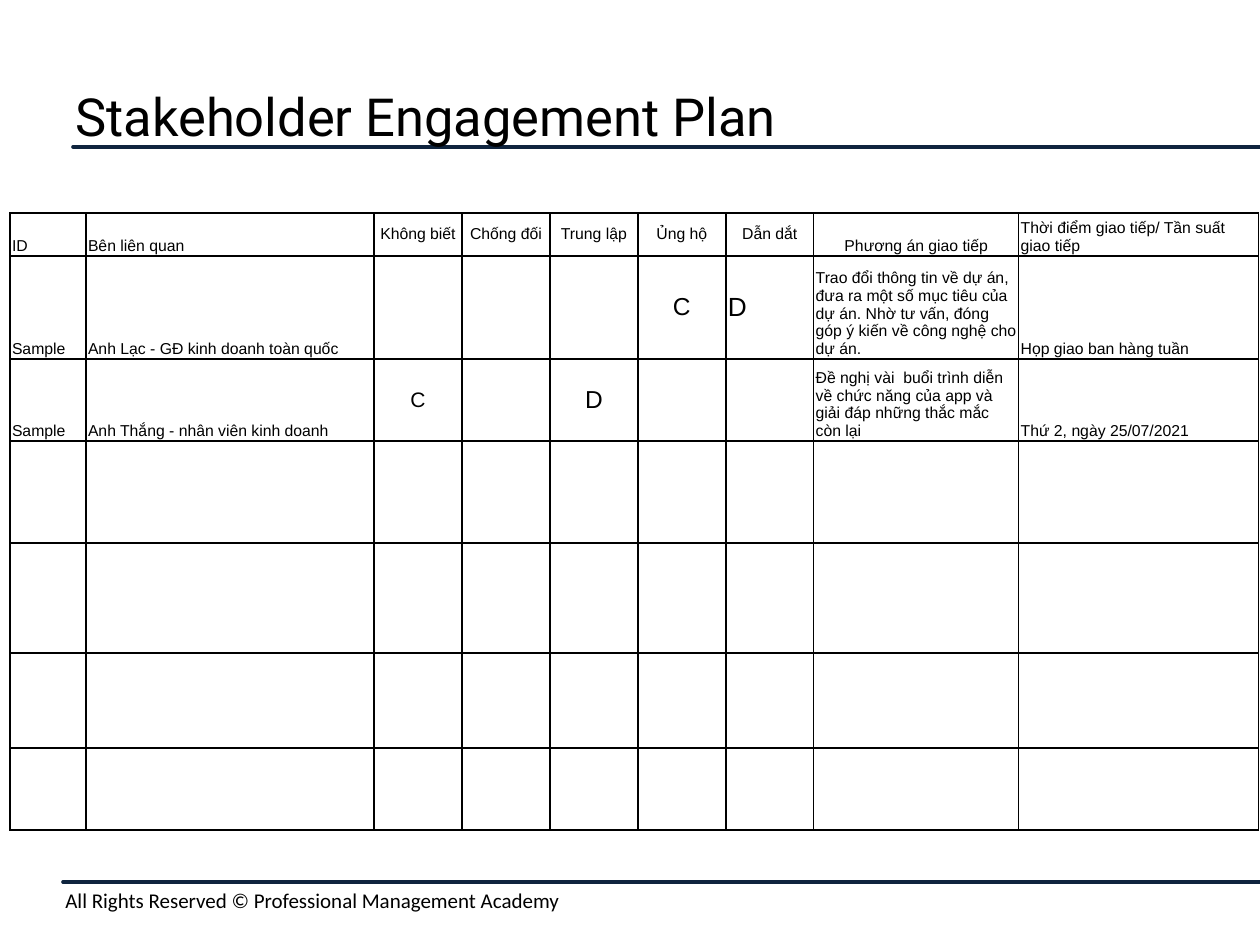
from dataclasses import dataclass

from lxml import etree
from pptx import Presentation
from pptx.dml.color import RGBColor
from pptx.enum import shapes, text
from pptx.oxml import ns
from pptx.util import Emu, Pt

PX = 914400 // 126
INK, NAVY = "000000", "0F243E"
LEFT, MID = text.PP_ALIGN.LEFT, text.PP_ALIGN.CENTER
CENTRE, LOW = text.MSO_ANCHOR.MIDDLE, text.MSO_ANCHOR.BOTTOM


@dataclass
class Rule:
    x: int
    y: int


@dataclass
class Label:
    words: str
    box: tuple[int, int, int, int]
    font: str
    size: int
    anchor: text.MSO_ANCHOR


@dataclass
class Entry:
    words: str
    size: int = 9
    align: text.PP_ALIGN = LEFT
    anchor: text.MSO_ANCHOR = LOW


def px(n: int) -> Emu:
    return Emu(n * PX)


def tint(code: str) -> RGBColor:
    return RGBColor.from_string(code)


def apply(item, values: dict) -> None:
    for key, value in values.items():
        setattr(item, key, value)


def write(frame, words: str, font: str, size: int, align=LEFT) -> None:
    para = frame.paragraphs[0]
    para.alignment = align
    run = para.add_run()
    run.text = words
    apply(run.font, {"name": font, "size": Pt(size)})
    run.font.color.rgb = tint(INK)


def draw_rule(slide, rule: Rule) -> None:
    line = slide.shapes.add_connector(
        shapes.MSO_CONNECTOR.STRAIGHT,
        px(rule.x), px(rule.y), px(1260), px(rule.y))
    line.line.width = Pt(2)
    line.line.color.rgb = tint(NAVY)
    line.line._get_or_add_ln().set("cap", "rnd")
    etree.SubElement(line._element.spPr, ns.qn("a:effectLst"))


def draw_label(slide, label: Label) -> None:
    frame = slide.shapes.add_textbox(*map(px, label.box)).text_frame
    apply(frame, {"word_wrap": True, "vertical_anchor": label.anchor})
    write(frame, label.words, label.font, label.size)


def edge(cell) -> None:
    props = cell._tc.get_or_add_tcPr()
    for spot, side in enumerate(("lnL", "lnR", "lnT", "lnB")):
        line = etree.Element(ns.qn(f"a:{side}"), w=str(Pt(1)))
        fill = etree.SubElement(line, ns.qn("a:solidFill"))
        etree.SubElement(fill, ns.qn("a:srgbClr"), val=INK)
        props.insert(spot, line)


def draw_grid(slide, cols: list[int], rows: list[int],
              data: dict[tuple[int, int], Entry]) -> None:
    grid = slide.shapes.add_table(
        len(rows), len(cols), px(10), px(213),
        px(sum(cols)), px(sum(rows))).table
    apply(grid, {"first_row": False, "horz_banding": False})
    for col, wide in zip(grid.columns, cols):
        col.width = px(wide)
    for row, high in zip(grid.rows, rows):
        row.height = px(high)
    pads = {"margin_left": px(2), "margin_right": px(2),
            "margin_top": px(1), "margin_bottom": px(1)}
    for r in range(len(rows)):
        for c in range(len(cols)):
            cell = grid.cell(r, c)
            apply(cell, pads)
            cell.fill.background()
            edge(cell)
            entry = data.get((r, c))
            if entry:
                cell.vertical_anchor = entry.anchor
                write(cell.text_frame, entry.words, "Arial",
                      entry.size, entry.align)


COLS = [76, 288] + [88] * 5 + [205, 240]
ROWS = [43, 103, 82, 102, 110, 95, 82]
LEVELS = ["Không biết", "Chống đối", "Trung lập", "Ủng hộ", "Dẫn dắt"]

# Header row, with the five engagement levels centred
DATA = {
    (0, 0): Entry("ID"),
    (0, 1): Entry("Bên liên quan"),
    (0, 7): Entry("Phương án giao tiếp", align=MID),
    (0, 8): Entry("Thời điểm giao tiếp/ Tần suất giao tiếp"),
}
DATA |= {(0, c): Entry(name, 9, MID, CENTRE)
         for c, name in enumerate(LEVELS, 2)}

# Stakeholders: name, approach and timing
PEOPLE = [
    ("Anh Lạc - GĐ kinh doanh toàn quốc",
     "Trao đổi thông tin về dự án, đưa ra một số mục tiêu của dự án. "
     "Nhờ tư vấn, đóng góp ý kiến về công nghệ cho dự án.",
     "Họp giao ban hàng tuần"),
    ("Anh Thắng - nhân viên kinh doanh",
     "Đề nghị vài  buổi trình diễn về chức năng của app và "
     "giải đáp những thắc mắc còn lại",
     "Thứ 2, ngày 25/07/2021"),
]
for r, (name, plan, time) in enumerate(PEOPLE, 1):
    for c, words in zip((0, 1, 7, 8), ("Sample", name, plan, time)):
        DATA[r, c] = Entry(words)

# Current (C) and desired (D) levels
DATA |= {
    (1, 5): Entry("C", 14, MID, CENTRE),
    (1, 6): Entry("D", 15, LEFT, CENTRE),
    (2, 2): Entry("C", 12, MID, CENTRE),
    (2, 4): Entry("D", 14, MID, CENTRE),
}

RULES = [Rule(73, 147), Rule(63, 882)]
LABELS = [
    Label("All Rights Reserved © Professional Management Academy",
          (53, 881, 1207, 38), "Calibri", 12, text.MSO_ANCHOR.TOP),
    Label("Stakeholder Engagement Plan",
          (63, 63, 1134, 105), "Roboto", 30, CENTRE),
]


def main() -> None:
    deck = Presentation()
    apply(deck, {"slide_width": px(1260), "slide_height": px(945)})
    slide = deck.slides.add_slide(deck.slide_layouts[6])
    for rule in RULES:
        draw_rule(slide, rule)
    for label in LABELS:
        draw_label(slide, label)
    draw_grid(slide, COLS, ROWS, DATA)
    deck.save("out.pptx")


if __name__ == "__main__":
    main()
